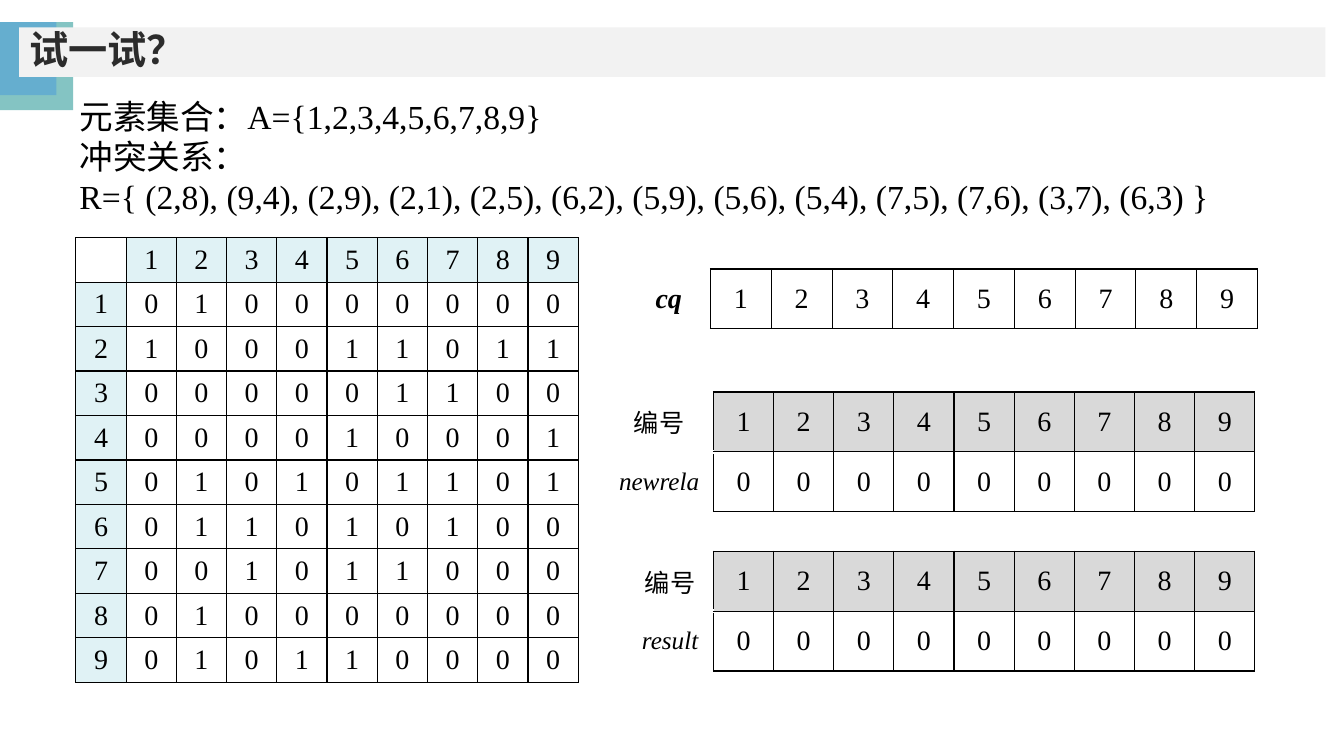
from dataclasses import dataclass
from typing import Any

from lxml.etree import SubElement
from pptx import Presentation
from pptx.dml.color import RGBColor
from pptx.enum.shapes import MSO_SHAPE as Preset
from pptx.enum.text import MSO_ANCHOR as Anchor
from pptx.enum.text import MSO_AUTO_SIZE as AutoSize
from pptx.enum.text import PP_ALIGN as Align
from pptx.oxml.ns import qn
from pptx.util import Pt

SERIF = "Times New Roman"
BLACK, WHITE, GREY, PALE_BLUE = "000000", "FFFFFF", "D9D9D9", "E0F2F5"
ELEMENTS = range(1, 10)
NUMBERS = [str(element) for element in ELEMENTS]
ZEROS = ["0"] * len(NUMBERS)
CONFLICTS = [(2, 8), (9, 4), (2, 9), (2, 1), (2, 5), (6, 2), (5, 9),
             (5, 6), (5, 4), (7, 5), (7, 6), (3, 7), (6, 3)]


@dataclass
class Block:
    left: float
    top: float
    width: float
    height: float
    fill: str


@dataclass
class CellLook:
    fill: str = WHITE
    size: float = 20
    bold: bool = False
    italic: bool = False
    open_bottom: float = 0


@dataclass
class Grid:
    left: float
    top: float
    first_width: float
    column_width: float
    row_height: float
    rows: list[list[str]]
    looks: list[tuple[CellLook, CellLook]]


def colour(value: str) -> RGBColor:
    return RGBColor.from_string(value)


def apply_formats(target: Any, formats: dict[str, Any]) -> None:
    for name, value in formats.items():
        setattr(target, name, value)


def format_font(font: Any, value: str, **formats: Any) -> None:
    apply_formats(font, formats)
    font.color.rgb = colour(value)


def place(shape: Any, left: float, top: float, width: float, height: float) -> None:
    apply_formats(shape, {"left": Pt(left), "top": Pt(top), "width": Pt(width), "height": Pt(height)})


def draw_block(slide: Any, block: Block) -> None:
    shape = slide.shapes.add_shape(
        Preset.RECTANGLE, Pt(block.left), Pt(block.top), Pt(block.width), Pt(block.height))
    shape.shadow.inherit = False
    shape.fill.solid()
    shape.fill.fore_color.rgb = colour(block.fill)
    shape.line.fill.background()
    slide.shapes.title.element.addprevious(shape.element)


def draw_title(slide: Any, text: str) -> None:
    title = slide.shapes.title
    place(title, 13.7, 19.6, 933.1, 35.3)
    title.fill.solid()
    title.fill.fore_color.rgb = colour("F2F2F2")
    frame = title.text_frame
    frame.text = text
    apply_formats(frame, {"vertical_anchor": Anchor.MIDDLE, "auto_size": AutoSize.NONE, "word_wrap": True})
    paragraph = frame.paragraphs[0]
    apply_formats(paragraph, {"alignment": Align.LEFT, "line_spacing": 0.9})
    format_font(paragraph.runs[0].font, "2C2C2C", name="Arial", size=Pt(28), bold=True)


def draw_statement(slide: Any, lines: list[str]) -> None:
    box = slide.shapes.add_textbox(Pt(49.7), Pt(64.8), Pt(826.6), Pt(94.3))
    frame = box.text_frame
    frame.text = "\n".join(lines)
    apply_formats(frame, {"word_wrap": True, "auto_size": AutoSize.SHAPE_TO_FIT_TEXT})
    for paragraph in frame.paragraphs:
        format_font(paragraph.runs[0].font, BLACK, name=SERIF, size=Pt(24))


def draw_border(cell: Any, side: str, value: str, width: float) -> None:
    line = SubElement(cell._tc.get_or_add_tcPr(), qn(f"a:ln{side}"), w=str(Pt(width)))
    SubElement(SubElement(line, qn("a:solidFill")), qn("a:srgbClr"), val=value)


def draw_cell(cell: Any, text: str, look: CellLook) -> None:
    borders = dict.fromkeys("LRTB", (BLACK, 1))
    if look.open_bottom:
        borders.update(L=(WHITE, 1), T=(WHITE, 1), B=(WHITE, look.open_bottom))
    for side, (value, width) in borders.items():
        draw_border(cell, side, value, width)
    cell.fill.solid()
    cell.fill.fore_color.rgb = colour(look.fill)
    cell.vertical_anchor = Anchor.MIDDLE
    cell.text = text
    paragraph = cell.text_frame.paragraphs[0]
    paragraph.alignment = Align.CENTER
    for run in paragraph.runs:
        format_font(run.font, BLACK, name=SERIF, size=Pt(look.size), bold=look.bold, italic=look.italic)


def draw_grid(slide: Any, grid: Grid) -> None:
    widths = [grid.first_width] + [grid.column_width] * len(NUMBERS)
    table = slide.shapes.add_table(
        len(grid.rows), len(widths), Pt(grid.left), Pt(grid.top),
        Pt(sum(widths)), Pt(grid.row_height * len(grid.rows))).table
    apply_formats(table, {"first_row": False, "horz_banding": False})
    for column, width in zip(table.columns, widths):
        column.width = Pt(width)
    for row, texts, (label_look, value_look) in zip(table.rows, grid.rows, grid.looks):
        row.height = Pt(grid.row_height)
        for index, (cell, text) in enumerate(zip(row.cells, texts)):
            draw_cell(cell, text, value_look if index else label_look)


def conflict_row(element: int) -> list[str]:
    flags = [(element, other) in CONFLICTS or (other, element) in CONFLICTS for other in ELEMENTS]
    return [str(element)] + [str(int(flag)) for flag in flags]


def numbered_grid(left: float, top: float, first_width: float, name: str) -> Grid:
    return Grid(left, top, first_width, 43, 42.8,
                [["编号"] + NUMBERS, [name] + ZEROS],
                [(CellLook(size=18, open_bottom=3), CellLook(GREY)),
                 (CellLook(size=18, italic=True, open_bottom=1), CellLook())])


def main() -> None:
    presentation = Presentation()
    apply_formats(presentation, {"slide_width": Pt(960), "slide_height": Pt(540)})
    slide = presentation.slides.add_slide(presentation.slide_layouts[5])

    for block in (Block(0, 15.8, 52.2, 62.9, "84C4C3"), Block(0, 15.8, 40.3, 52.2, "65AECF")):
        draw_block(slide, block)
    draw_title(slide, "试一试？")
    pairs = ", ".join(f"({first},{second})" for first, second in CONFLICTS)
    draw_statement(slide, [
        f"元素集合：A={{{','.join(NUMBERS)}}}",
        "冲突关系：",
        f"R={{ {pairs} }}",
    ])

    queue = Grid(447.8, 192.2, 59.8, 43.4, 42.7, [["cq"] + NUMBERS],
                 [(CellLook(bold=True, italic=True, open_bottom=3), CellLook())])
    matrix = Grid(54.2, 169.8, 35.9, 35.9, 31.75,
                  [[""] + NUMBERS] + [conflict_row(element) for element in ELEMENTS],
                  [(CellLook(), CellLook(PALE_BLUE))]
                  + [(CellLook(PALE_BLUE), CellLook())] * len(NUMBERS))
    for grid in (queue,
                 numbered_grid(432, 280, 77.6, "newrela"),
                 numbered_grid(447.8, 393.8, 61.8, "result"),
                 matrix):
        draw_grid(slide, grid)

    presentation.save("out.pptx")


if __name__ == "__main__":
    main()
